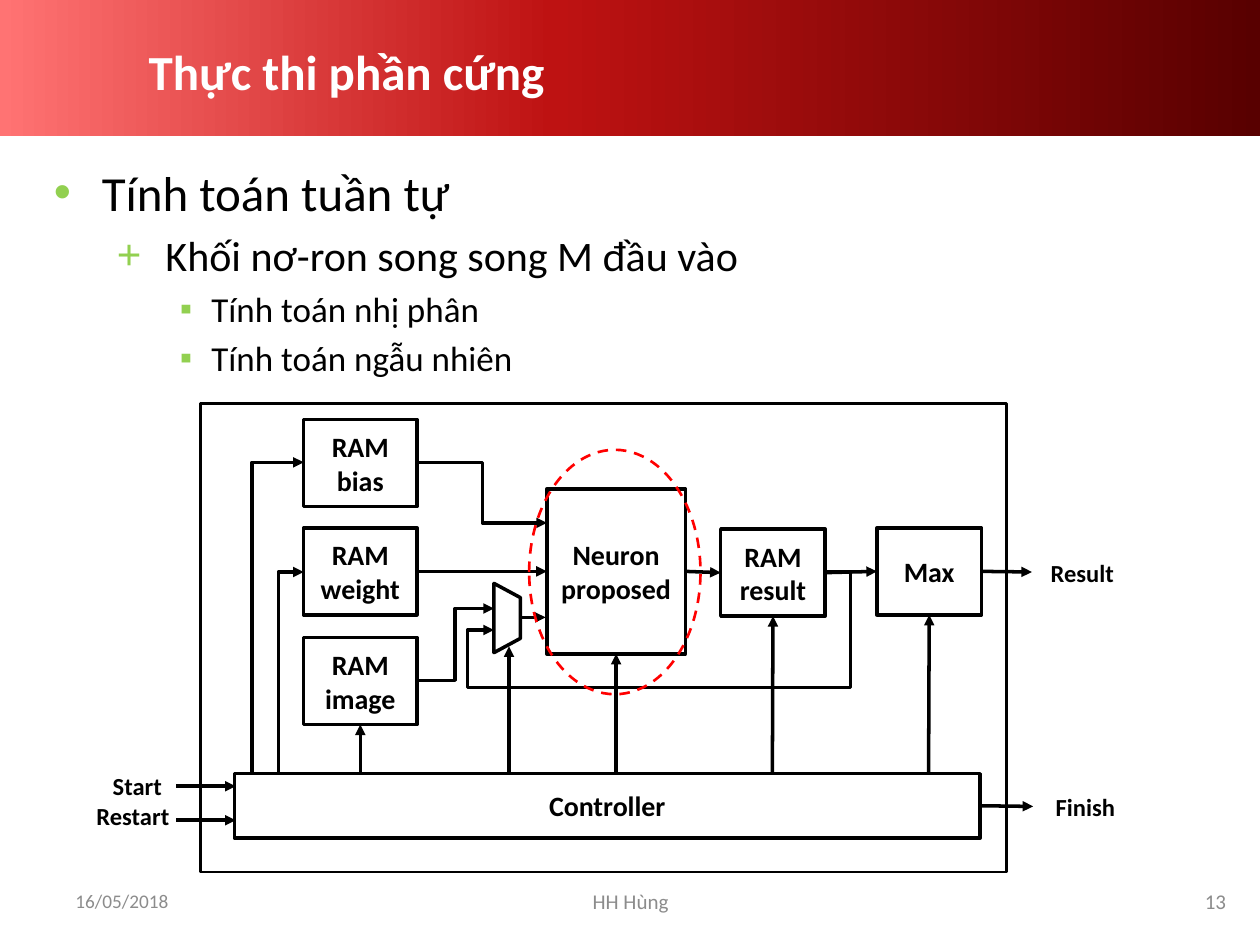
from copy import deepcopy

from lxml import etree
from pptx import Presentation
from pptx import util as u
from pptx.dml.color import RGBColor
from pptx.enum import dml, shapes, text
from pptx.oxml.ns import qn

BLACK = RGBColor(0x00, 0x00, 0x00)
WHITE = RGBColor(0xFF, 0xFF, 0xFF)
GREY = RGBColor(0x8C, 0x8C, 0x8C)
RED = RGBColor(0xFF, 0x00, 0x00)
BAND = [(0, RGBColor(0xFF, 0x73, 0x73)), (0.44, RGBColor(0xBE, 0x12, 0x12)),
        (1, RGBColor(0x58, 0x00, 0x00))]
BULLET_COLOUR = "92D050"
TOP, LEFT, BOTTOM, RIGHT = range(4)
CENTER = text.PP_ALIGN.CENTER
MIDDLE = text.MSO_ANCHOR.MIDDLE
KIND = shapes.MSO_SHAPE


def inches(*values):
    return [u.Inches(value) for value in values]


def write(frame, content, size=16, bold=False, colour=BLACK, align=CENTER,
          anchor=MIDDLE, margin=0):
    frame.word_wrap = True
    frame.auto_size = text.MSO_AUTO_SIZE.NONE
    frame.vertical_anchor = anchor
    frame.margin_left = frame.margin_right = u.Inches(margin)
    for index, line in enumerate(content.split("\n")):
        paragraph = frame.paragraphs[0] if index == 0 else frame.add_paragraph()
        paragraph.alignment = align
        format_run(paragraph, line, size, bold, colour)


def format_run(paragraph, content, size, bold, colour):
    run = paragraph.add_run()
    run.text = content
    run.font.name = "Calibri"
    run.font.size = u.Pt(size)
    run.font.bold = bold
    run.font.color.rgb = colour


class SlideBuilder:
    def __init__(self, slide, line_width=2):
        self.slide = slide
        self.line_width = line_width

    def title(self, content, *place):
        title = self.slide.shapes.title
        title.left, title.top, title.width, title.height = inches(*place)
        write(title.text_frame, content, size=28, bold=True, colour=WHITE,
              align=text.PP_ALIGN.LEFT, margin=0.1)

    def band(self, *place):
        band = self.slide.shapes.add_shape(KIND.RECTANGLE, *inches(*place))
        band.shadow.inherit = False
        band.line.fill.background()
        band.fill.gradient()
        band.fill.gradient_angle = 0
        stops = band._element.spPr.find(".//" + qn("a:gsLst"))
        stops.append(deepcopy(stops[-1]))
        for stop, (position, colour) in zip(band.fill.gradient_stops, BAND):
            stop.position = position
            stop.color.rgb = colour
        self.slide.shapes._spTree.insert(2, band._element)

    def outline(self, kind, *place, colour=BLACK, width=None):
        shape = self.slide.shapes.add_shape(kind, *inches(*place))
        shape.shadow.inherit = False
        shape.fill.background()
        shape.line.color.rgb = colour
        shape.line.width = u.Pt(width or self.line_width)
        return shape

    def block(self, content, *place):
        shape = self.outline(KIND.RECTANGLE, *place)
        write(shape.text_frame, content, bold=True)
        return shape

    def label(self, content, *place, **style):
        box = self.slide.shapes.add_textbox(*inches(*place))
        write(box.text_frame, content, **style)

    def bullets(self, items, *place):
        frame = self.slide.shapes.add_textbox(*inches(*place)).text_frame
        frame.word_wrap = True
        for index, (content, level, size, mark, indent, hang) in enumerate(items):
            paragraph = frame.paragraphs[0] if index == 0 else frame.add_paragraph()
            paragraph.level = level
            paragraph.space_before = u.Pt(size * 0.2)
            format_run(paragraph, content, size, False, BLACK)
            properties = paragraph._p.get_or_add_pPr()
            properties.set("marL", str(u.Inches(indent)))
            properties.set("indent", str(u.Inches(-hang)))
            colour = etree.SubElement(properties, qn("a:buClr"))
            etree.SubElement(colour, qn("a:srgbClr"), val=BULLET_COLOUR)
            etree.SubElement(properties, qn("a:buFont"), typeface="Arial")
            etree.SubElement(properties, qn("a:buChar"), char=mark)

    def connector(self, kind, start, end):
        connector = self.slide.shapes.add_connector(kind, *inches(*start, *end))
        connector.line.color.rgb = BLACK
        connector.line.width = u.Pt(self.line_width)
        properties = connector._element.spPr
        etree.SubElement(properties.find(qn("a:ln")), qn("a:tailEnd"), type="triangle")
        etree.SubElement(properties, qn("a:effectLst"))
        return connector

    def arrow(self, start, end):
        points = [(0, 0) if hasattr(point[0], "shape_id") else point
                  for point in (start, end)]
        connector = self.connector(shapes.MSO_CONNECTOR.STRAIGHT, *points)
        if hasattr(start[0], "shape_id"):
            connector.begin_connect(*start)
        if hasattr(end[0], "shape_id"):
            connector.end_connect(*end)

    def elbow(self, start, end, adjustments):
        connector = self.connector(shapes.MSO_CONNECTOR.ELBOW, start, end)
        geometry = connector._element.spPr.find(qn("a:prstGeom"))
        geometry.set("prst", f"bentConnector{len(adjustments) + 2}")
        guides = geometry.find(qn("a:avLst"))
        for number, value in enumerate(adjustments, 1):
            name = "adj" if len(adjustments) == 1 else f"adj{number}"
            etree.SubElement(guides, qn("a:gd"), name=name,
                             fmla=f"val {round(value * 100000)}")
        return connector

    def up_then_right(self, start, end):
        middle_x, middle_y = (start[0] + end[0]) / 2, (start[1] + end[1]) / 2
        half_width, half_height = (start[1] - end[1]) / 2, (end[0] - start[0]) / 2
        connector = self.elbow((middle_x + half_width, middle_y + half_height),
                               (middle_x - half_width, middle_y - half_height), [])
        connector._element.spPr.find(qn("a:xfrm")).set("rot", "5400000")


def build_diagram(builder):
    weight = builder.block("RAM weight", 2.41, 4.19, 0.9, 0.69)
    builder.block("RAM\nbias", 2.41, 3.33, 0.9, 0.69)
    image = builder.block("RAM\nimage", 2.41, 5.06, 0.9, 0.69)
    result = builder.block("RAM\nresult", 5.72, 4.2, 0.83, 0.69)
    neuron = builder.block("Neuron proposed", 4.34, 3.88, 1.1, 1.31)
    controller = builder.block("Controller", 1.86, 6.14, 5.92, 0.51)
    maximum = builder.block("Max", 6.96, 4.19, 0.83, 0.69)
    multiplexer = builder.outline(KIND.TRAPEZOID, 3.75, 4.8, 0.55, 0.21)
    multiplexer.rotation = 90
    multiplexer.adjustments[0] = 0.54
    builder.outline(KIND.RECTANGLE, 1.59, 3.2, 6.4, 3.72, width=1.5)

    for start, end in [
        ((neuron, RIGHT), (result, LEFT)),
        ((result, RIGHT), (maximum, LEFT)),
        ((weight, RIGHT), (neuron, LEFT)),
        ((maximum, RIGHT), (8.19, 4.54)),
        ((controller, RIGHT), (8.2, 6.4)),
        ((2.86, 6.14), (image, BOTTOM)),
        ((4.89, 6.14), (neuron, BOTTOM)),
        ((6.13, 6.14), (result, BOTTOM)),
        ((7.37, 6.14), (maximum, BOTTOM)),
        ((4.04, 6.14), (4.04, 5.13)),
        ((4.13, 4.9), (4.33, 4.9)),
        ((1.4, 6.24), (1.87, 6.24)),
        ((1.4, 6.51), (1.87, 6.51)),
    ]:
        builder.arrow(start, end)

    builder.elbow((3.32, 3.67), (4.34, 4.15), [0.5])
    builder.elbow((3.3, 5.4), (3.92, 4.83), [0.32])
    builder.elbow((6.54, 4.54), (3.92, 5), [-0.08, 1.99, 1.08])
    builder.up_then_right((2.21, 6.14), (2.41, 4.54))
    builder.up_then_right((2, 6.14), (2.41, 3.67))

    for content, left, top, width in [
        ("Start", 0.78, 6.07, 0.62), ("Restart", 0.64, 6.31, 0.83),
        ("Result", 8.16, 4.38, 0.86), ("Finish", 8.2, 6.24, 0.83),
    ]:
        builder.label(content, left, top, width, 0.34, size=14, bold=True,
                      anchor=text.MSO_ANCHOR.TOP)

    highlight = builder.outline(KIND.OVAL, 4.2, 3.57, 1.36, 1.94, colour=RED, width=1.5)
    highlight.line.dash_style = dml.MSO_LINE.DASH


def main():
    presentation = Presentation()
    presentation.slide_width, presentation.slide_height = inches(10, 7.5)
    builder = SlideBuilder(presentation.slides.add_slide(presentation.slide_layouts[5]))
    builder.band(0, 0, 10, 1.08)
    builder.title("Thực thi phần cứng", 1.08, 0.17, 8.42, 0.78)
    build_diagram(builder)
    builder.bullets([
        ("Tính toán tuần tự", 0, 28, "•", 0.38, 0.38),
        (" Khối nơ-ron song song M đầu vào", 1, 24, "+", 0.81, 0.31),
        ("Tính toán nhị phân", 2, 20, "▪", 1.25, 0.25),
        ("Tính toán ngẫu nhiên", 2, 20, "▪", 1.25, 0.25),
    ], 0.33, 1.24, 9, 1.95)
    for content, left, width, size, align in [
        ("16/05/2018", 0.5, 2.33, 11, text.PP_ALIGN.LEFT),
        ("HH Hùng", 3.42, 3.17, 12, CENTER),
        ("13", 7.5, 2.33, 12, text.PP_ALIGN.RIGHT),
    ]:
        builder.label(content, left, 6.95, width, 0.4, size=size, colour=GREY,
                      align=align, margin=0.1)
    presentation.save("out.pptx")


if __name__ == "__main__":
    main()
